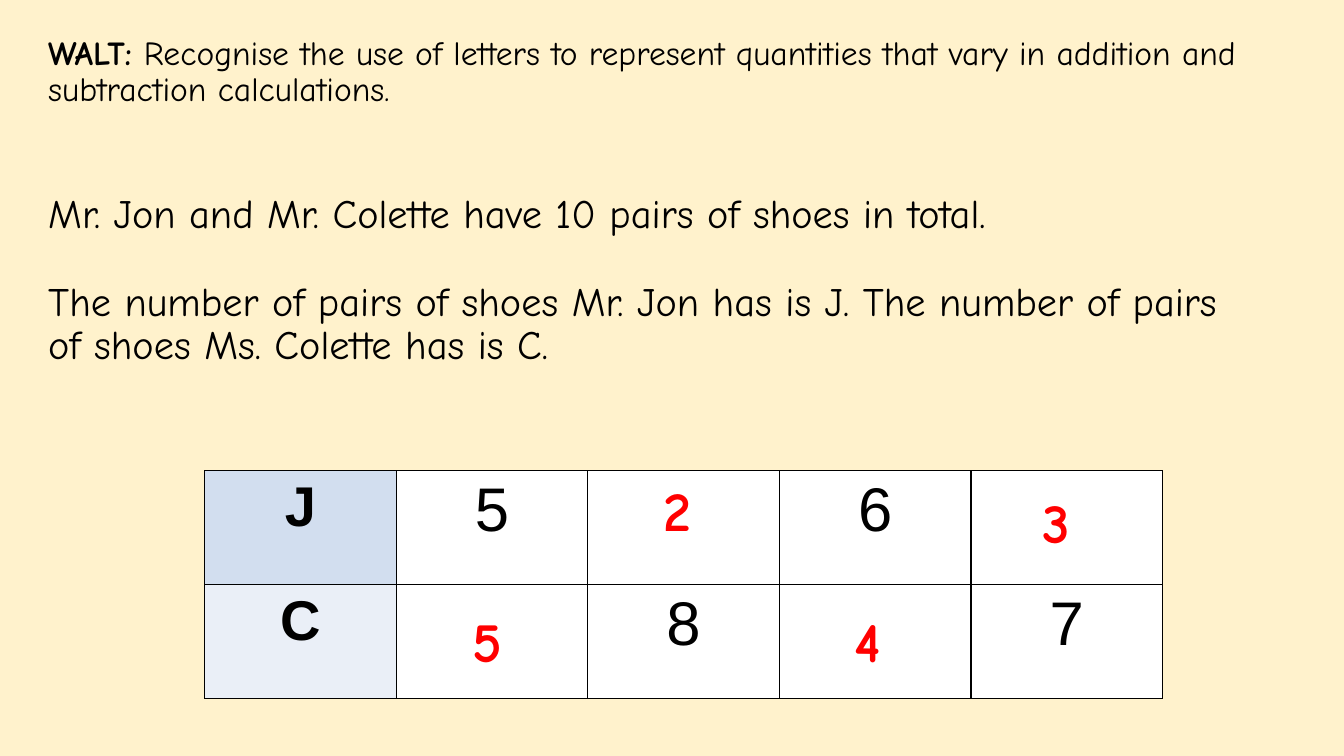
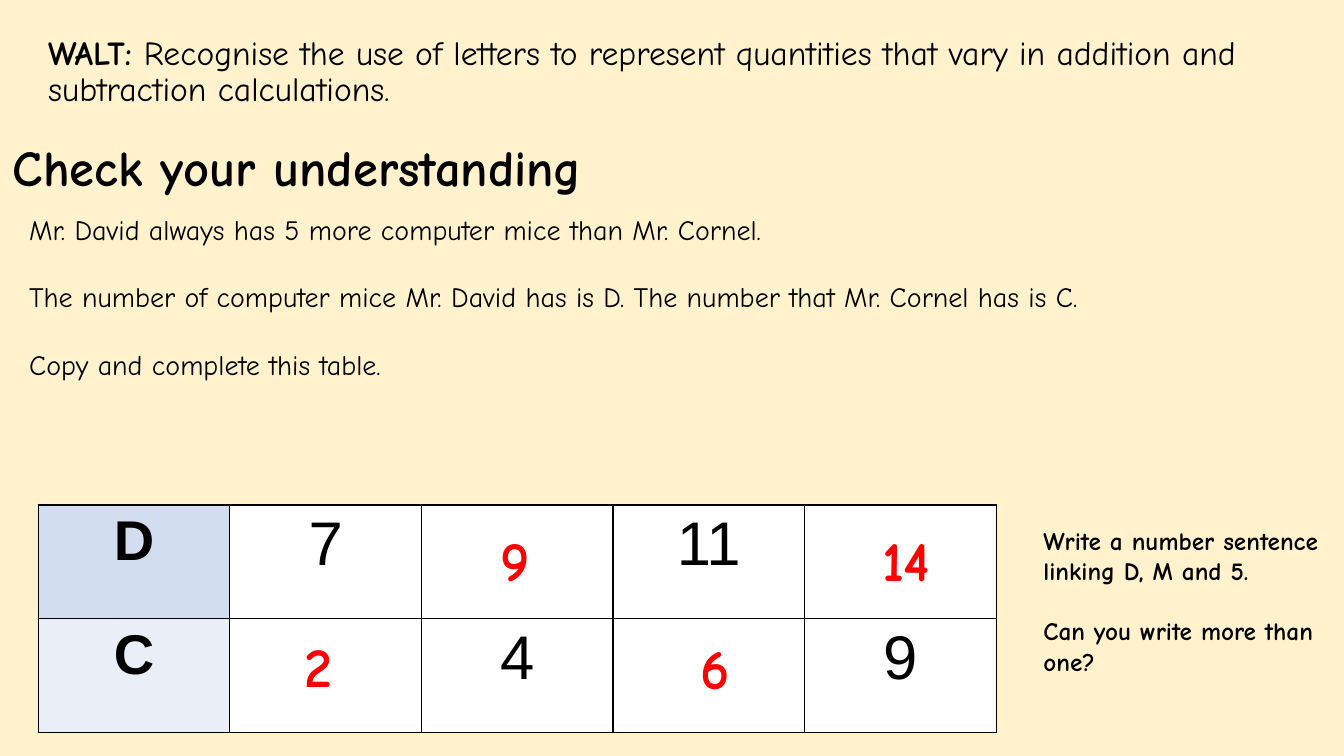
from dataclasses import dataclass

from lxml import etree
from pptx import Presentation
from pptx.dml.color import RGBColor
from pptx.enum.text import MSO_ANCHOR, PP_ALIGN
from pptx.oxml.ns import qn
from pptx.util import Inches, Pt

TOP, MIDDLE = MSO_ANCHOR.TOP, MSO_ANCHOR.MIDDLE
LEFT, CENTER = PP_ALIGN.LEFT, PP_ALIGN.CENTER


@dataclass(frozen=True)
class Theme:
    page: str = "FFF2CC"
    ink: str = "000000"
    answer: str = "FF0000"
    cell: str = "FFFFFF"
    letter_fills: tuple = ("D2DEEF", "EAEFF7")
    font: str = "Comic Neue"
    table_font: str = "Arial"
    heading_size: float = 36
    problem_size: float = 28.8
    aim_size: float = 24
    body_size: float = 20
    prompt_size: float = 18
    letter_size: float = 40
    number_size: float = 44
    answer_size: float = 40
    line_height: float = 1.2
    tight: float = 0.9
    border: float = 1


THEME = Theme()
COLUMN_WIDTH, ROW_HEIGHT = 1.9, 1.13
ANSWER_SIZE = (1.02, 0.77)
AIM_BOX = (0.38, 0.31, 12.57, 1.03)

AIM = [
    ("WALT: ", True),
    ("Recognise the use of letters to represent quantities that vary in "
     "addition and subtraction calculations.", False),
]

# Text blocks: paragraphs, box (left, top, width, height), format.
# Answers: text, left, top.
LESSON = [
    {
        "texts": [
            (["Mr. Jon and Mr. Colette have 10 pairs of shoes in total.",
              "The number of pairs of shoes Mr. Jon has is J. The number of "
              "pairs of shoes Ms. Colette has is C."],
             (0.38, 1.87, 12.19, 1.84),
             {"size": THEME.problem_size, "spacing": THEME.tight, "anchor": MIDDLE}),
        ],
        "table_at": (2.03, 4.67),
        "rows": [["J", "5", "", "6", ""], ["C", "", "8", "", "7"]],
        "answers": [("5", 4.59, 5.97), ("2", 6.48, 4.67),
                    ("4", 8.38, 5.97), ("3", 10.24, 4.79)],
    },
    {
        "texts": [
            (["Check your understanding"], (0.03, 1.35, 12.19, 0.67),
             {"size": THEME.heading_size, "bold": True, "spacing": THEME.tight,
              "anchor": MIDDLE}),
            (["Mr. David always has 5 more computer mice than Mr. Cornel.",
              "The number of computer mice Mr. David has is D. The number that "
              "Mr. Cornel has is C.",
              "Copy and complete this table."],
             (0.19, 2.06, 12.95, 1.78), {"size": THEME.body_size}),
            (["Write a number sentence linking D, M and 5.",
              "Can you write more than one?"],
             (10.25, 5.16, 3.08, 1.92), {"size": THEME.prompt_size, "bold": True}),
        ],
        "table_at": (0.38, 5.01),
        "rows": [["D", "7", "", "11", ""], ["C", "", "4", "", "9"]],
        "answers": [("2", 2.92, 6.22), ("9", 4.87, 5.16),
                    ("6", 6.85, 6.24), ("14", 8.65, 5.16)],
    },
]


def write(frame, paragraphs, size, color=THEME.ink, font=THEME.font,
          bold=False, align=LEFT, spacing=1.0):
    """Fill a text frame, one line apart; a paragraph is text or (text, bold) runs."""
    for index, content in enumerate(paragraphs):
        paragraph = frame.add_paragraph() if index else frame.paragraphs[0]
        paragraph.alignment = align
        paragraph.line_spacing = spacing
        if index:
            paragraph.space_before = Pt(round(size * THEME.line_height * spacing, 1))
        runs = [(content, bold)] if isinstance(content, str) else content
        for text, is_bold in runs:
            run = paragraph.add_run()
            run.text = text
            run.font.size = Pt(size)
            run.font.name = font
            run.font.bold = is_bold
            run.font.color.rgb = RGBColor.from_string(color)


def add_text(slide, paragraphs, box, anchor=TOP, **text_format):
    frame = slide.shapes.add_textbox(*map(Inches, box)).text_frame
    frame.word_wrap = True
    frame.vertical_anchor = anchor
    write(frame, paragraphs, **text_format)


def outline(cell):
    properties = cell._tc.get_or_add_tcPr()
    for index, side in enumerate(("lnL", "lnR", "lnT", "lnB")):
        line = etree.Element(qn(f"a:{side}"), w=str(Pt(THEME.border)))
        fill = etree.SubElement(line, qn("a:solidFill"))
        etree.SubElement(fill, qn("a:srgbClr"), val=THEME.ink)
        properties.insert(index, line)


def add_values(slide, rows, left, top):
    """Add the table of values, with the letters in its first column."""
    count = len(rows[0])
    table = slide.shapes.add_table(
        len(rows), count, Inches(left), Inches(top),
        Inches(COLUMN_WIDTH * count), Inches(ROW_HEIGHT * len(rows))).table
    table.first_row = table.horz_banding = False
    for r, row in enumerate(rows):
        for c, value in enumerate(row):
            is_letter = c == 0
            cell = table.cell(r, c)
            cell.fill.solid()
            cell.fill.fore_color.rgb = RGBColor.from_string(
                THEME.letter_fills[r] if is_letter else THEME.cell)
            outline(cell)
            if value:
                write(cell.text_frame, [value], font=THEME.table_font,
                      size=THEME.letter_size if is_letter else THEME.number_size,
                      bold=is_letter, align=CENTER)


def add_lesson_slide(deck, lesson):
    slide = deck.slides.add_slide(deck.slide_layouts[6])
    add_text(slide, [AIM], AIM_BOX, size=THEME.aim_size, spacing=THEME.tight)
    for paragraphs, box, text_format in lesson["texts"]:
        add_text(slide, paragraphs, box, **text_format)
    add_values(slide, lesson["rows"], *lesson["table_at"])
    for answer, left, top in lesson["answers"]:
        add_text(slide, [answer], (left, top, *ANSWER_SIZE),
                 size=THEME.answer_size, color=THEME.answer, bold=True)


def main():
    deck = Presentation()
    deck.slide_width, deck.slide_height = Inches(13.33), Inches(7.5)
    background = deck.slide_master.background.fill
    background.solid()
    background.fore_color.rgb = RGBColor.from_string(THEME.page)
    for lesson in LESSON:
        add_lesson_slide(deck, lesson)
    deck.save("out.pptx")


if __name__ == "__main__":
    main()
